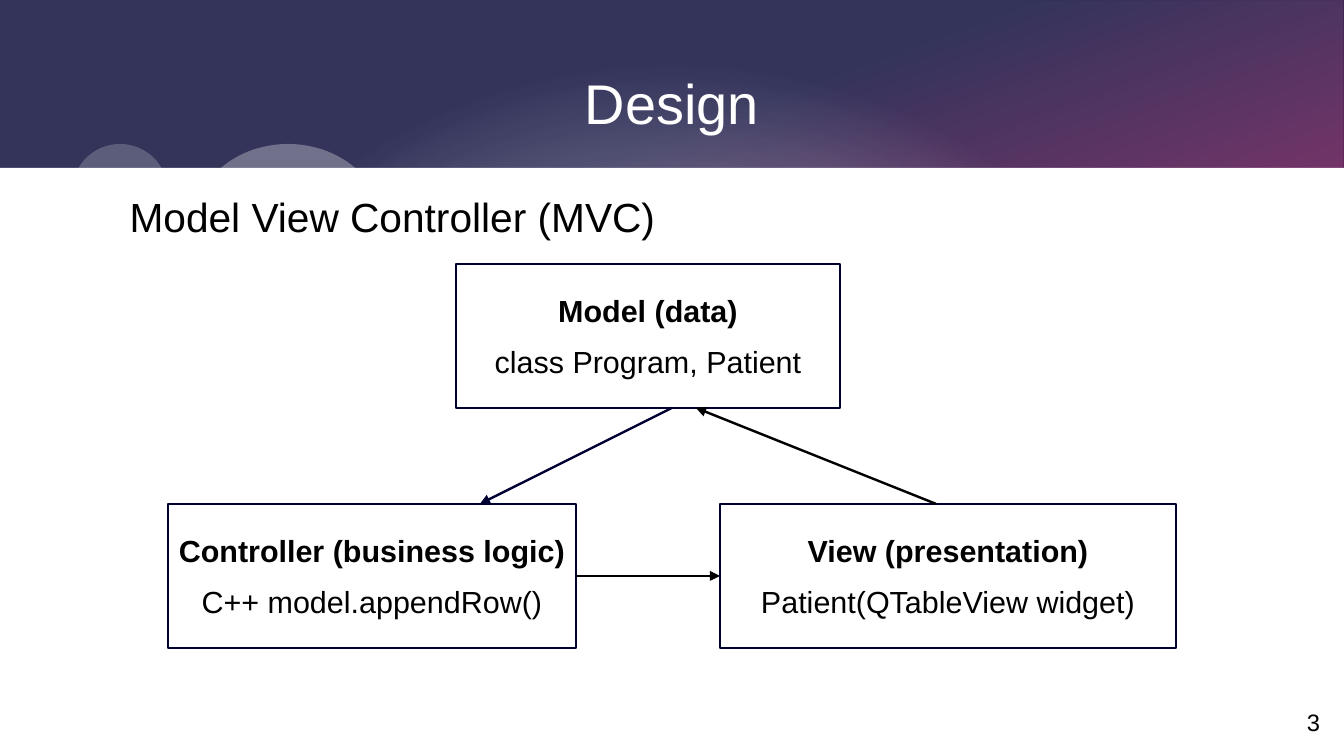
import pptx
import pptx.dml.color
import pptx.enum.shapes
import pptx.enum.text
import pptx.oxml
import pptx.oxml.ns
import pptx.util

WIDTH, HEIGHT = pptx.util.Inches(11.02), pptx.util.Inches(6.2)
CELL = WIDTH / 56
NAVY, PINK, WHITE, BLACK = "000032", "F60063", "FFFFFF", "000000"
SHAPES = pptx.enum.shapes.MSO_SHAPE
ALIGN = pptx.enum.text.PP_ALIGN
ANCHOR = pptx.enum.text.MSO_ANCHOR
SLIDE_AREA = (0, 0, 56, HEIGHT / CELL)


def cells(*counts):
    """Turn counts of grid cells into lengths."""
    return [round(count * CELL) for count in counts]


def rgb(code):
    """Turn a hex string into a colour."""
    return pptx.dml.color.RGBColor.from_string(code)


def add_panel(slide, area, preset=SHAPES.RECTANGLE, opacity=100, outline=None):
    """Add a white preset shape with the given opacity and outline."""
    panel = slide.shapes.add_shape(preset, *cells(*area))
    panel.shadow.inherit = False
    panel.fill.solid()
    panel.fill.fore_color.rgb = rgb(WHITE)
    if opacity < 100:
        tint = panel.element.spPr.find(".//" + pptx.oxml.ns.qn("a:srgbClr"))
        alpha = pptx.oxml.parse_xml(f'<a:alpha {pptx.oxml.ns.nsdecls("a")} val="{opacity * 1000}"/>')
        tint.append(alpha)
    if outline:
        panel.line.color.rgb = rgb(outline)
        panel.line.width = pptx.util.Pt(1.42)
    else:
        panel.line.fill.background()
    return panel


def add_gradient(slide, stops, direction):
    """Cover the slide with a gradient of (position, colour, opacity) stops."""
    backdrop = add_panel(slide, SLIDE_AREA)
    properties = backdrop.element.spPr
    solid = properties.find(pptx.oxml.ns.qn("a:solidFill"))
    marks = "".join(
        f'<a:gs pos="{position * 1000}"><a:srgbClr val="{colour}">'
        f'<a:alpha val="{opacity * 1000}"/></a:srgbClr></a:gs>'
        for position, colour, opacity in stops)
    gradient = pptx.oxml.parse_xml(
        f'<a:gradFill {pptx.oxml.ns.nsdecls("a")} rotWithShape="1">'
        f"<a:gsLst>{marks}</a:gsLst>{direction}</a:gradFill>")
    properties.replace(solid, gradient)


def write(paragraph, text, size, colour=BLACK, bold=False, align=ALIGN.CENTER, after=0):
    """Set and format the text of one paragraph."""
    paragraph.text = text
    paragraph.alignment = align
    paragraph.space_after = pptx.util.Pt(after)
    paragraph.font.name = "Arial"
    paragraph.font.size = pptx.util.Pt(size)
    paragraph.font.bold = bold
    paragraph.font.color.rgb = rgb(colour)


def add_label(slide, area, text, size, anchor, **style):
    """Add a text box without margins."""
    frame = slide.shapes.add_textbox(*cells(*area)).text_frame
    frame.word_wrap = True
    frame.vertical_anchor = anchor
    frame.margin_left = frame.margin_right = frame.margin_top = frame.margin_bottom = 0
    write(frame.paragraphs[0], text, size, **style)


def add_component(slide, area, role, code):
    """Add an outlined box with a bold role above its code."""
    component = add_panel(slide, area, opacity=70, outline=NAVY)
    frame = component.text_frame
    frame.word_wrap = False
    frame.vertical_anchor = ANCHOR.MIDDLE
    write(frame.paragraphs[0], role, 18, bold=True, after=8.5)
    write(frame.add_paragraph(), code, 18, after=8.5)
    return component


def add_arrow(slide, start, end, colour):
    """Add a straight arrow between two grid points."""
    arrow = slide.shapes.add_connector(
        pptx.enum.shapes.MSO_CONNECTOR.STRAIGHT, *cells(*start, *end))
    arrow.line.color.rgb = rgb(colour)
    arrow.line.width = pptx.util.Pt(1.42)
    namespace = pptx.oxml.ns.nsdecls("a")
    arrow.line._get_or_add_ln().append(
        pptx.oxml.parse_xml(f'<a:tailEnd {namespace} type="triangle"/>'))
    arrow.element.spPr.append(pptx.oxml.parse_xml(f"<a:effectLst {namespace}/>"))
    return arrow


def add_banner(slide):
    """Draw the gradient banner, its circles and the white page below."""
    add_gradient(slide, [(30, NAVY, 100), (100, PINK, 100)],
                 f'<a:lin ang="{70 * 60000}" scaled="0"/>')
    add_gradient(slide, [(0, WHITE, 90), (75, WHITE, 20)],
                 '<a:path path="circle">'
                 '<a:fillToRect l="50000" t="85000" r="50000" b="15000"/></a:path>')
    add_panel(slide, (0, 7, 56, HEIGHT / CELL - 7))
    add_panel(slide, (8, 6, 8, 7), SHAPES.OVAL, opacity=30)
    add_panel(slide, (3, 6, 4, 4), SHAPES.OVAL, opacity=20)


def main():
    """Build the design slide and save it."""
    deck = pptx.Presentation()
    deck.slide_width, deck.slide_height = WIDTH, HEIGHT
    slide = deck.slides.add_slide(deck.slide_layouts[6])
    add_banner(slide)
    add_label(slide, (3, 1.5, 50, 5.5), "Design", 33, ANCHOR.MIDDLE, colour=WHITE)
    add_label(slide, (5.4, 8, 47.6, 3), "Model View Controller (MVC)", 24, ANCHOR.TOP,
              align=ALIGN.LEFT)

    add_component(slide, (19, 11, 16, 6), "Model (data)", "class Program, Patient")
    view = add_component(slide, (30, 21, 19, 6), "View (presentation)",
                         "Patient(QTableView widget)")
    controller = add_component(slide, (7, 21, 17, 6), "Controller (business logic)",
                               "C++ model.appendRow()")

    add_arrow(slide, (28, 17), (20, 21), NAVY)
    update = add_arrow(slide, (24, 24), (30, 24), BLACK)
    update.begin_connect(controller, 3)
    update.end_connect(view, 1)
    add_arrow(slide, (39, 21), (29, 17), BLACK)

    add_label(slide, (42, 28.5, 13, 2.2), "3", 14, ANCHOR.BOTTOM, align=ALIGN.RIGHT)
    deck.save("out.pptx")


if __name__ == "__main__":
    main()
